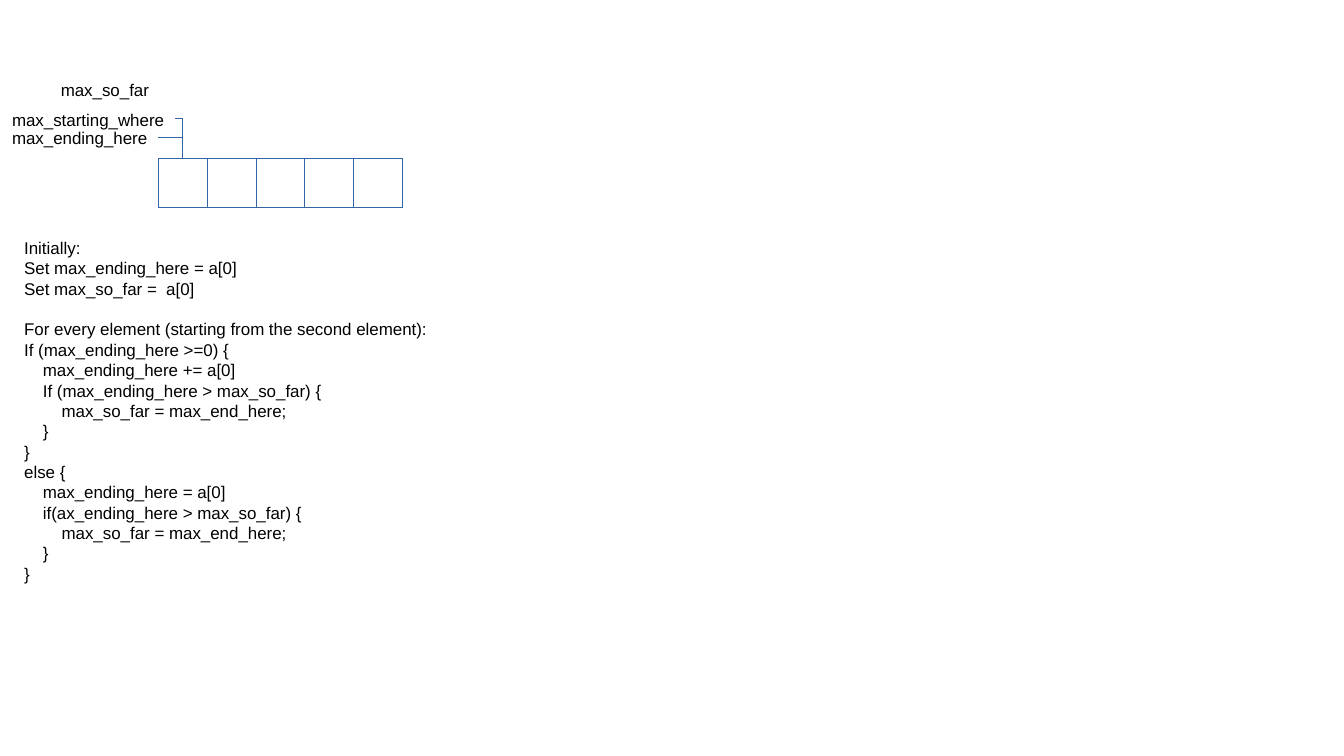
"""Build a slide that explains the maximum subarray algorithm."""
from lxml.etree import SubElement
from pptx import Presentation
from pptx.dml.color import RGBColor
from pptx.enum.shapes import MSO_CONNECTOR, MSO_SHAPE
from pptx.enum.text import MSO_AUTO_SIZE
from pptx.oxml.ns import qn
from pptx.util import Inches, Pt

LABELS = [
    ("max_ending_here", (0, 10, 13.1, 2.5)),
    ("max_starting_where", (0, 8.5, 14.8, 2.5)),
    ("max_so_far", (4, 6, 9.2, 2.5)),
]
SETUP = [
    "Initially:",
    "Set max_ending_here = a[0]",
    "Set max_so_far =  a[0]",
]
LOOP = [
    "For every element (starting from the second element):",
    "If (max_ending_here >=0) {",
    "    max_ending_here += a[0]",
    "    If (max_ending_here > max_so_far) {",
    "        max_so_far = max_end_here;",
    "    }",
    "}",
    "else {",
    "    max_ending_here = a[0]",
    "    if(ax_ending_here > max_so_far) {",
    "        max_so_far = max_end_here;",
    "    }",
    "}",
]
CODE_AREA = (1, 19, 35, 28.9)
ARRAY = {"left": 13, "top": 13, "side": 4, "count": 5}
POINTER_STARTS = [(14.4, 9.7), (13, 11.3)]
THEME = {
    "paper": RGBColor.from_string("FFFFFF"),
    "line": RGBColor.from_string("3465A4"),
    "hairline": Pt(0.01),
    "gap": Pt(12),
    "font": {"name": "Arial", "size": Pt(10)},
    "ink": RGBColor.from_string("000000"),
}
FRAME = {
    "word_wrap": False,
    "auto_size": MSO_AUTO_SIZE.SHAPE_TO_FIT_TEXT,
    "margin_left": Inches(0.1),
    "margin_right": Inches(0.1),
    "margin_top": Inches(0.05),
    "margin_bottom": Inches(0.05),
}


def grid(*steps):
    """Turn steps of a tenth of an inch into slide lengths."""
    return [Inches(step / 10) for step in steps]


def apply(target, values):
    """Set each named attribute of the target."""
    for name, value in values.items():
        setattr(target, name, value)


def outline(shape):
    """Draw the shape with the thin theme line."""
    shape.line.color.rgb = THEME["line"]
    shape.line.width = THEME["hairline"]


def add_text(page, area, blocks):
    """Add lines of text, with a gap before each block after the first."""
    frame = page.shapes.add_textbox(*grid(*area)).text_frame
    apply(frame, FRAME)
    frame.text = "\n".join(line for block in blocks for line in block)
    for para in frame.paragraphs:
        for span in para.runs:
            apply(span.font, THEME["font"])
            span.font.color.rgb = THEME["ink"]
    start = 0
    for block in blocks[:-1]:
        start += len(block)
        frame.paragraphs[start].space_before = THEME["gap"]


def add_cell(page, index):
    """Add one cell of the array."""
    side = ARRAY["side"]
    area = grid(ARRAY["left"] + index * side, ARRAY["top"], side, side)
    cell = page.shapes.add_shape(MSO_SHAPE.RECTANGLE, *area)
    cell.shadow.inherit = False
    cell.fill.solid()
    cell.fill.fore_color.rgb = THEME["paper"]
    outline(cell)


def add_pointer(page, start):
    """Add a one-bend line from a label to the top of the first cell."""
    target = (ARRAY["left"] + ARRAY["side"] / 2, ARRAY["top"])
    pointer = page.shapes.add_connector(MSO_CONNECTOR.ELBOW, *grid(*start, *target))
    outline(pointer)
    properties = pointer._element.spPr
    properties.find(qn("a:prstGeom")).set("prst", "bentConnector2")
    SubElement(properties, qn("a:effectLst"))


def main():
    """Build and save the deck."""
    deck = Presentation()
    deck.slide_width, deck.slide_height = Inches(11.02), Inches(6.2)
    page = deck.slides.add_slide(deck.slide_layouts[6])
    for index in range(ARRAY["count"]):
        add_cell(page, index)
    for label, area in LABELS:
        add_text(page, area, [[label]])
    for start in POINTER_STARTS:
        add_pointer(page, start)
    add_text(page, CODE_AREA, [SETUP, LOOP])
    deck.save("out.pptx")


if __name__ == "__main__":
    main()
